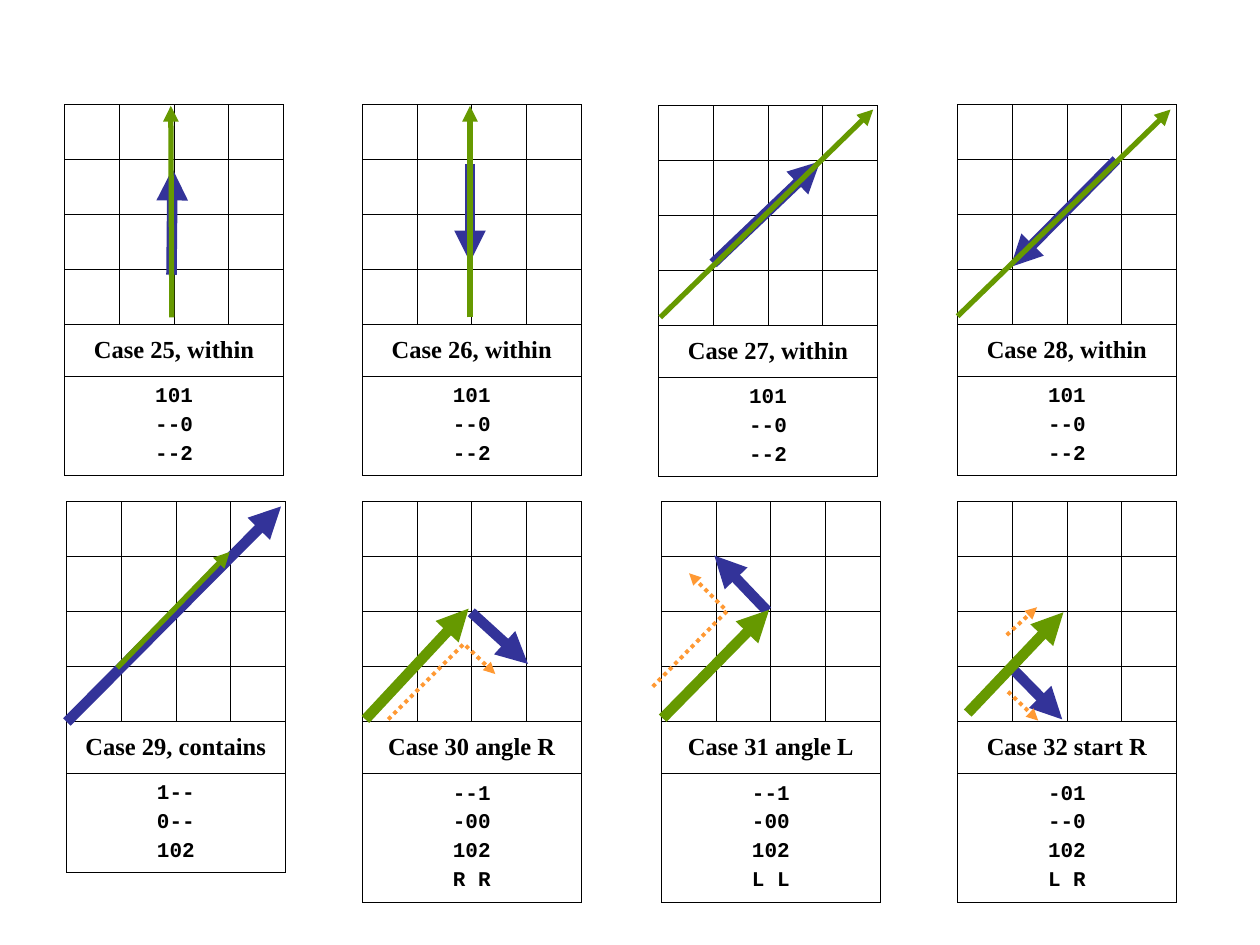
from itertools import product

from lxml.etree import SubElement
from pptx import Presentation
from pptx.dml.color import RGBColor
from pptx.enum.dml import MSO_LINE
from pptx.enum.shapes import MSO_CONNECTOR
from pptx.enum.text import MSO_ANCHOR, PP_ALIGN
from pptx.oxml.ns import qn
from pptx.util import Pt

COLORS = {"ink": "000000", "blue": "333399", "green": "669900", "orange": "FF9933"}
SIDE = 4
COL, ROW = 31.25, 31.43
TITLE_ROW = 29.7
CODE_ROWS = {3: 56.6, 4: 74}
TOP, LOW = 59.7, 286.5

# Arrow: colour, line width, points from the top left of the case
CASES = [
    (37, TOP, "Case 25, within", ["101", "--0", "--2"], [
        ("blue", 6, [(61, 97.3), (61.6, 36.8)]),
        ("green", 3, [(61.2, 121.7), (60.6, 0.8)])]),
    (207.1, TOP, "Case 26, within", ["101", "--0", "--2"], [
        ("blue", 6, [(61.5, 33.9), (61.5, 90.1)]),
        ("green", 3, [(61.5, 121.7), (61.5, 0.8)])]),
    (376.4, 60.2, "Case 27, within", ["101", "--0", "--2"], [
        ("blue", 6, [(31.1, 90.3), (92.3, 32)]),
        ("green", 3, [(0.9, 121.2), (122.6, 2.4)])]),
    (547.2, TOP, "Case 28, within", ["101", "--0", "--2"], [
        ("blue", 6, [(90.7, 31.7), (30.2, 92.9)]),
        ("green", 3, [(0, 121), (121.7, 2.9)])]),
    (38, LOW, "Case 29, contains", ["1--", "0--", "102"], [
        ("blue", 6, [(0.2, 126.1), (122.6, 2.9)]),
        ("green", 3, [(29, 95.1), (93.3, 28.9)])]),
    (207.1, LOW, "Case 30 angle R", ["--1", "-00", "102", "R R"], [
        ("blue", 6, [(62.2, 63.4), (94.6, 92.9)]),
        ("green", 6, [(1.7, 124.6), (60.7, 61.3)]),
        ("orange", 2.25, [(14.7, 124.6), (57.9, 81.4), (75.9, 98.7)])]),
    (378, LOW, "Case 31 angle L", ["--1", "-00", "102", "L L"], [
        ("blue", 6, [(60.5, 62.7), (30.2, 31)]),
        ("green", 6, [(0.7, 123.9), (61.5, 62)]),
        ("orange", 2.25, [(-5, 105.9), (37.4, 62.7), (15.8, 41.1)])]),
    (547.2, LOW, "Case 32 start R", ["-01", "--0", "102", "L R"], [
        ("blue", 6, [(29.5, 93.7), (59.8, 124.6)]),
        ("green", 6, [(5.8, 121), (60.5, 63.4)]),
        ("orange", 2.25, [(28.8, 108.8), (46.1, 125.3)]),
        ("orange", 2.25, [(28.1, 76.4), (45.4, 60.5)])]),
]


def rgb(name):
    return RGBColor.from_string(COLORS[name])


def write(cell, lines, font, size, gap, color="ink"):
    cell.vertical_anchor = MSO_ANCHOR.MIDDLE
    frame = cell.text_frame
    for i, line in enumerate(lines):
        para = frame.add_paragraph() if i else frame.paragraphs[0]
        para.alignment = PP_ALIGN.CENTER
        para.space_before = Pt(gap)
        run = para.add_run()
        run.text = line
        run.font.name = font
        run.font.size = Pt(size)
        run.font.bold = True
        run.font.color.rgb = rgb(color)


def outline(cell, width=0.45):
    """Give the cell thin borders and no fill."""
    props = cell._tc.get_or_add_tcPr()
    for edge in "LRTB":
        line = SubElement(props, qn("a:ln" + edge), w=str(Pt(width)))
        fill = SubElement(line, qn("a:solidFill"))
        SubElement(fill, qn("a:srgbClr"), val=COLORS["ink"])
    cell.fill.background()


def arrow(slide, left, top, color, width, points):
    spots = [(Pt(left + x), Pt(top + y)) for x, y in points]
    if len(spots) == 2:
        shape = slide.shapes.add_connector(MSO_CONNECTOR.STRAIGHT, *spots[0], *spots[1])
    else:
        pen = slide.shapes.build_freeform(*spots[0])
        pen.add_line_segments(spots[1:], close=False)
        shape = pen.convert_to_shape()
        shape.fill.background()
    line = shape.line
    line.color.rgb = rgb(color)
    line.width = Pt(width)
    if color == "orange":
        line.dash_style = MSO_LINE.ROUND_DOT
    SubElement(line._get_or_add_ln(), qn("a:tailEnd"), type="triangle")
    SubElement(shape._element.spPr, qn("a:effectLst"))


def grid(slide, left, top, title, code):
    """Draw the square grid with its title and code rows."""
    rows = [ROW] * SIDE + [TITLE_ROW, CODE_ROWS[len(code)]]
    table = slide.shapes.add_table(
        len(rows), SIDE, Pt(left), Pt(top), Pt(COL * SIDE), Pt(sum(rows))).table
    table.first_row = table.horz_banding = False
    for col in table.columns:
        col.width = Pt(COL)
    for row, height in zip(table.rows, rows):
        row.height = Pt(height)
    for r, c in product(range(len(rows)), range(SIDE)):
        outline(table.cell(r, c))
    for r in (SIDE, SIDE + 1):
        table.cell(r, 0).merge(table.cell(r, SIDE - 1))
    write(table.cell(SIDE, 0), [title], font="Times New Roman", size=14, gap=3.5)
    write(table.cell(SIDE + 1, 0), code, font="Courier New", size=12, gap=3)


def case(slide, left, top, title, code, arrows):
    grid(slide, left, top, title, code)
    for color, width, points in arrows:
        arrow(slide, left, top, color, width, points)


def main():
    deck = Presentation()
    deck.slide_width, deck.slide_height = Pt(720), Pt(540)
    slide = deck.slides.add_slide(deck.slide_layouts[6])
    for item in CASES:
        case(slide, *item)
    deck.save("out.pptx")


if __name__ == "__main__":
    main()
